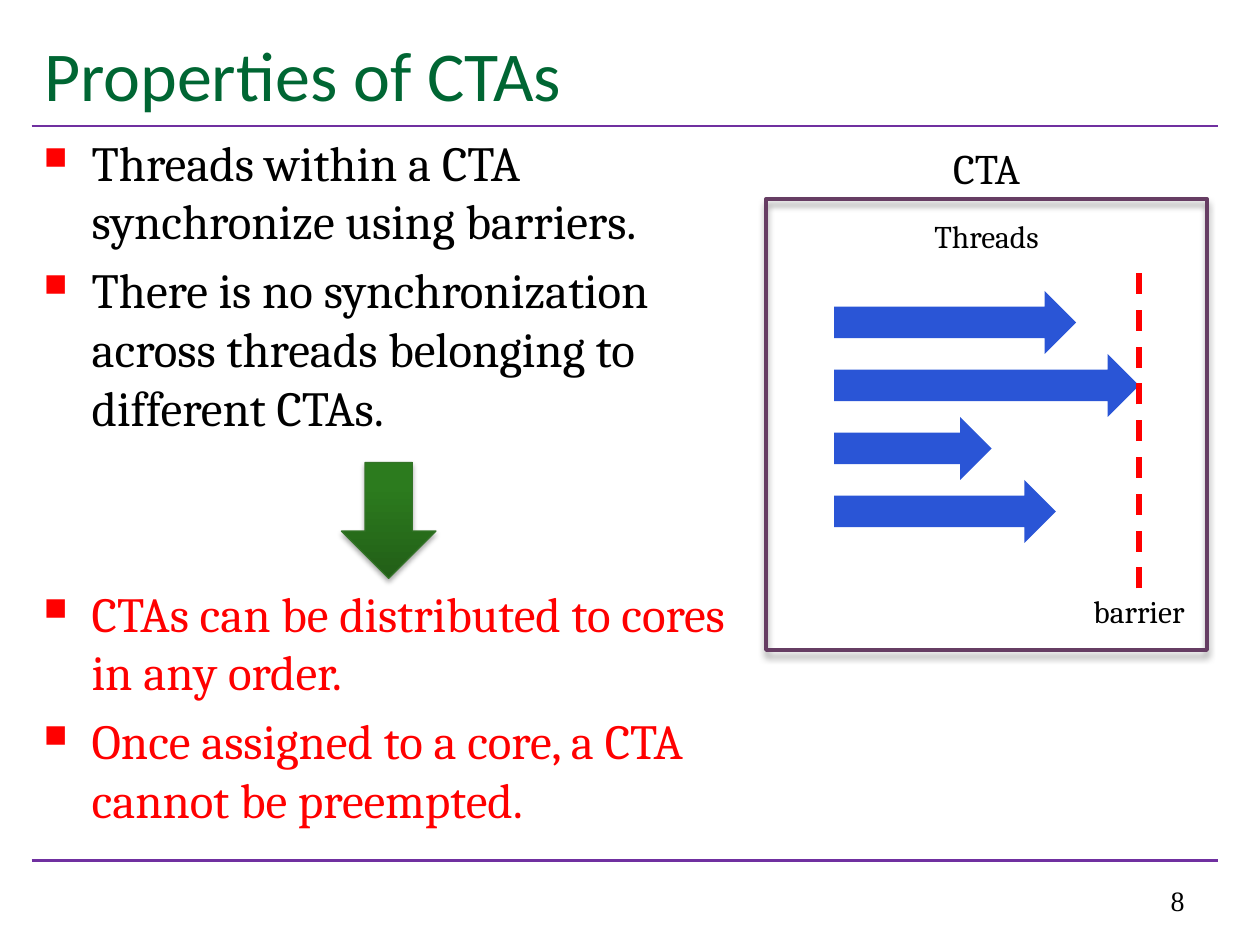
from dataclasses import dataclass

from lxml import etree
from pptx import Presentation
from pptx.dml.color import RGBColor
from pptx.enum import dml, shapes, text
from pptx.oxml.ns import qn
from pptx.util import Inches, Pt

GREEN = RGBColor(0x00, 0x66, 0x33)
PURPLE = RGBColor(0x70, 0x30, 0xA0)
PLUM = RGBColor(0x66, 0x3D, 0x63)
BLUE = RGBColor(0x2A, 0x55, 0xD6)
RED = RGBColor(0xFF, 0x00, 0x00)
BLACK = RGBColor(0x00, 0x00, 0x00)
ARROW_DARK = RGBColor(0x22, 0x5F, 0x17)
ARROW_LIGHT = RGBColor(0x2C, 0x7B, 0x1E)
ARROW_EDGE = RGBColor(0x33, 0x73, 0x27)

LEFT, CENTER, RIGHT = text.PP_ALIGN.LEFT, text.PP_ALIGN.CENTER, text.PP_ALIGN.RIGHT
TOP, MIDDLE, BOTTOM = (text.MSO_ANCHOR.TOP, text.MSO_ANCHOR.MIDDLE,
                       text.MSO_ANCHOR.BOTTOM)


@dataclass
class Bullet:
    text: str
    color: RGBColor = BLACK
    space_before: float = 5.6


@dataclass
class Label:
    text: str
    box: tuple[float, float, float, float]
    size: float
    font: str = "Cambria"
    align: text.PP_ALIGN = CENTER
    anchor: text.MSO_ANCHOR = TOP


BULLETS = [
    Bullet("Threads within a CTA synchronize using barriers."),
    Bullet("There is no synchronization across threads belonging to different CTAs."),
    Bullet("CTAs can be distributed to cores in any order.", RED, 84),
    Bullet("Once assigned to a core, a CTA cannot be preempted.", RED),
]
LABELS = [
    Label("CTA", (6.08, 1.08, 3.5, 0.5), 24),
    Label("Threads", (6.83, 1.67, 2, 0.4), 18),
    Label("barrier", (8.5, 4.65, 1.08, 0.4), 18),
    Label("8", (7.17, 6.83, 2.33, 0.5), 16, "Times New Roman", RIGHT, BOTTOM),
]
THREAD_LENGTHS = [1.92, 2.42, 1.25, 1.76]
THREAD_LEFT, THREAD_TOP, THREAD_HEIGHT = 6.62, 2.31, 0.5


def write(p, content: str, *, size: float, color: RGBColor = BLACK,
          font: str = "Cambria", align: text.PP_ALIGN = LEFT) -> None:
    p.alignment = align
    r = p.add_run()
    r.text = content
    r.font.size, r.font.name = Pt(size), font
    r.font.color.rgb = color


def add_box(s, box: tuple, anchor: text.MSO_ANCHOR = TOP):
    tf = s.shapes.add_textbox(*map(Inches, box)).text_frame
    tf.word_wrap = True
    tf.vertical_anchor = anchor
    return tf


def add_bullet_mark(p) -> None:
    pPr = p._p.get_or_add_pPr()
    pPr.set("marL", str(Inches(0.38)))
    pPr.set("indent", str(-Inches(0.38)))
    color = etree.SubElement(pPr, qn("a:buClr"))
    etree.SubElement(color, qn("a:srgbClr"), val=str(RED))
    etree.SubElement(pPr, qn("a:buSzPct"), val="65000")
    etree.SubElement(pPr, qn("a:buChar"), char="■")


def add_bullets(s, bullets: list[Bullet]) -> None:
    tf = add_box(s, (0.25, 1, 5.67, 5.83))
    for i, bullet in enumerate(bullets):
        p = tf.add_paragraph() if i else tf.paragraphs[0]
        p.space_before = Pt(bullet.space_before)
        add_bullet_mark(p)
        write(p, bullet.text, size=28, color=bullet.color)


def add_line(s, start: tuple, end: tuple, color: RGBColor, width: float):
    line = s.shapes.add_connector(shapes.MSO_CONNECTOR.STRAIGHT,
                                  *map(Inches, start + end))
    line.line.color.rgb, line.line.width = color, Pt(width)
    etree.SubElement(line._element.spPr, qn("a:effectLst"))
    return line


def add_shape(s, kind: shapes.MSO_SHAPE, box: tuple):
    """Add a shape with neither fill, line nor shadow."""
    sp = s.shapes.add_shape(kind, *map(Inches, box))
    sp.shadow.inherit = False
    sp.fill.background()
    sp.line.fill.background()
    return sp


def outline(sp, color: RGBColor, width: float) -> None:
    sp.line.color.rgb, sp.line.width = color, Pt(width)


def cast_shadow(sp, alpha: int, blur: float, distance: float) -> None:
    effects = sp._element.spPr.find(qn("a:effectLst"))
    shadow = etree.SubElement(effects, qn("a:outerShdw"), blurRad=str(Pt(blur)),
                              dist=str(Pt(distance)), dir="5400000", rotWithShape="0")
    color = etree.SubElement(shadow, qn("a:srgbClr"), val=str(BLACK))
    etree.SubElement(color, qn("a:alpha"), val=str(alpha * 1000))


def add_title(s, content: str) -> None:
    title = s.shapes.title
    title.left, title.top, title.width, title.height = map(
        Inches, (0.25, 0.17, 9.42, 0.83))
    title.text_frame.vertical_anchor = MIDDLE
    write(title.text_frame.paragraphs[0], content, size=40, color=GREEN, font="Calibri")


def add_cta_diagram(s) -> None:
    frame = add_shape(s, shapes.MSO_SHAPE.RECTANGLE, (6.08, 1.58, 3.5, 3.58))
    outline(frame, PLUM, 2)
    cast_shadow(frame, 40, 4, 3)
    for i, length in enumerate(THREAD_LENGTHS):
        top = THREAD_TOP + i * THREAD_HEIGHT
        thread = add_shape(s, shapes.MSO_SHAPE.RIGHT_ARROW,
                           (THREAD_LEFT, top, length, THREAD_HEIGHT))
        thread.fill.solid()
        thread.fill.fore_color.rgb = BLUE
    barrier = add_line(s, (9.04, 4.67), (9.04, 2.09), RED, 3)
    barrier.line.dash_style = dml.MSO_LINE.DASH


def add_consequence_arrow(s) -> None:
    arrow = add_shape(s, shapes.MSO_SHAPE.DOWN_ARROW, (2.71, 3.67, 0.75, 0.92))
    arrow.fill.gradient()
    arrow.fill.gradient_angle = 90
    dark, light = arrow.fill.gradient_stops
    dark.color.rgb, dark.position = ARROW_DARK, 0
    light.color.rgb, light.position = ARROW_LIGHT, 0.8
    outline(arrow, ARROW_EDGE, 0.75)
    cast_shadow(arrow, 35, 3.1, 1.8)


def main() -> None:
    prs = Presentation()
    prs.slide_width, prs.slide_height = Inches(10), Inches(7.5)
    s = prs.slides.add_slide(prs.slide_layouts[5])
    for y in (6.83, 1):
        add_line(s, (0.25, y), (9.67, y), PURPLE, 1.5)
    add_title(s, "Properties of CTAs")
    add_bullets(s, BULLETS)
    add_cta_diagram(s)
    add_consequence_arrow(s)
    for label in LABELS:
        tf = add_box(s, label.box, label.anchor)
        write(tf.paragraphs[0], label.text, size=label.size, font=label.font,
              align=label.align)
    prs.save("out.pptx")


if __name__ == "__main__":
    main()
